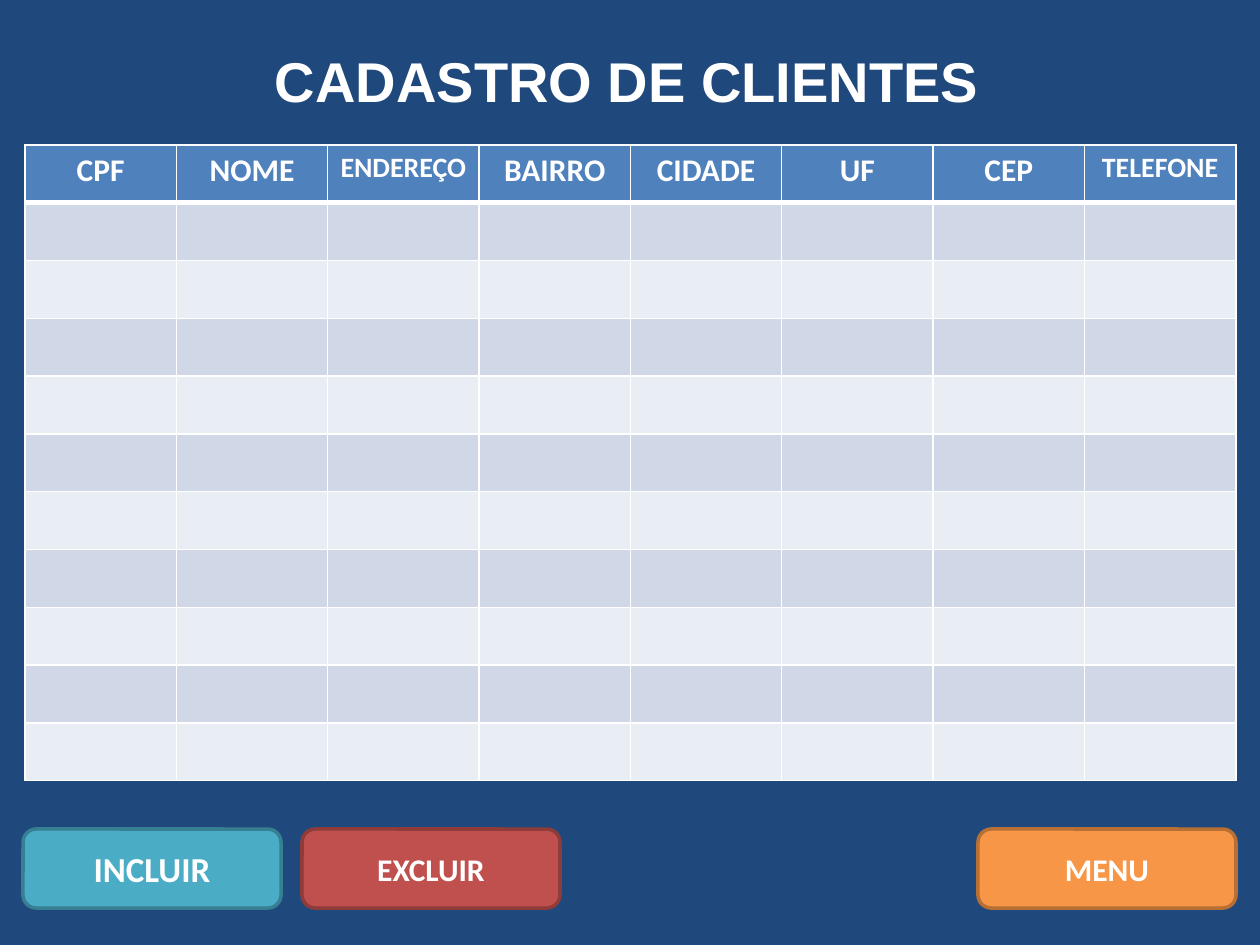
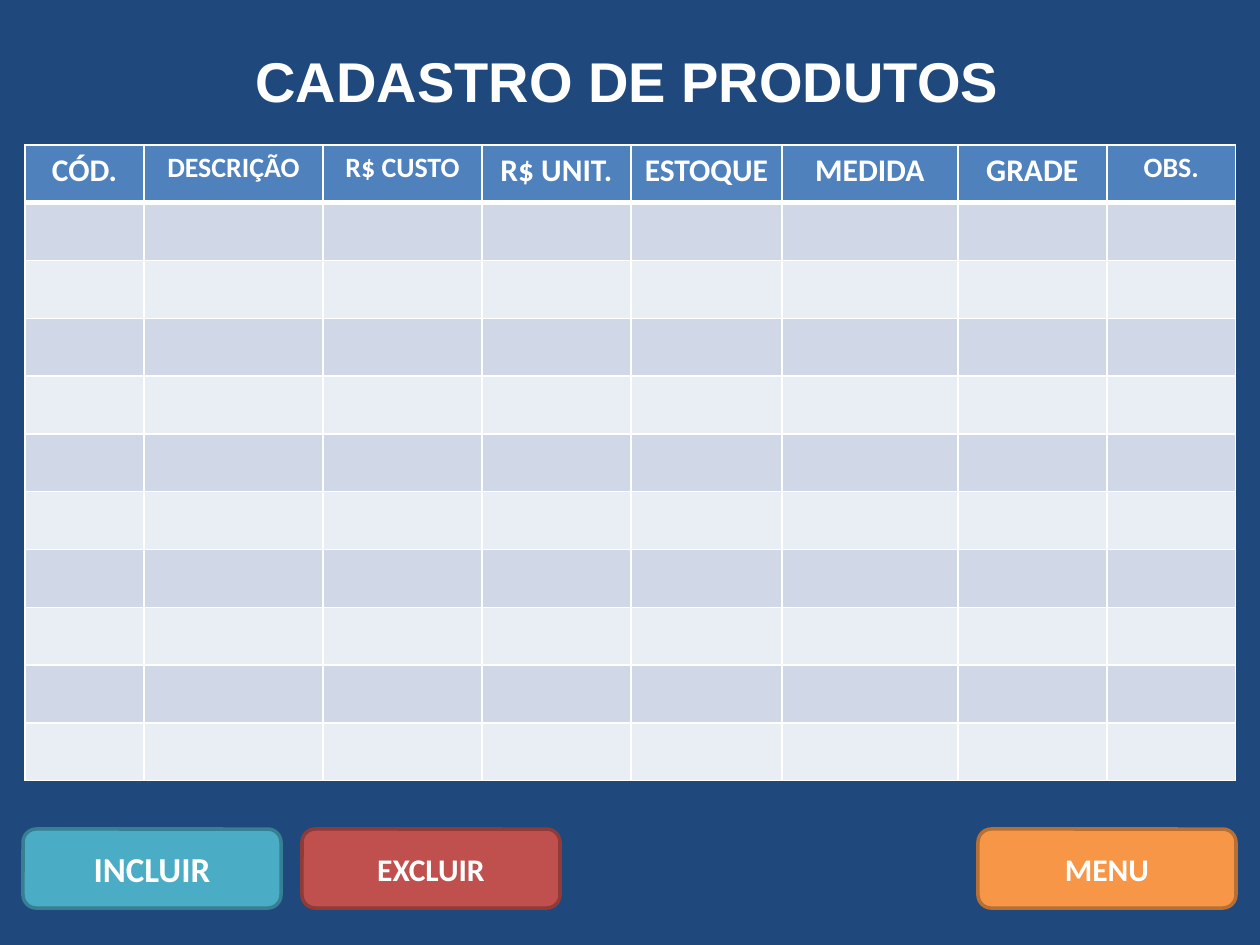
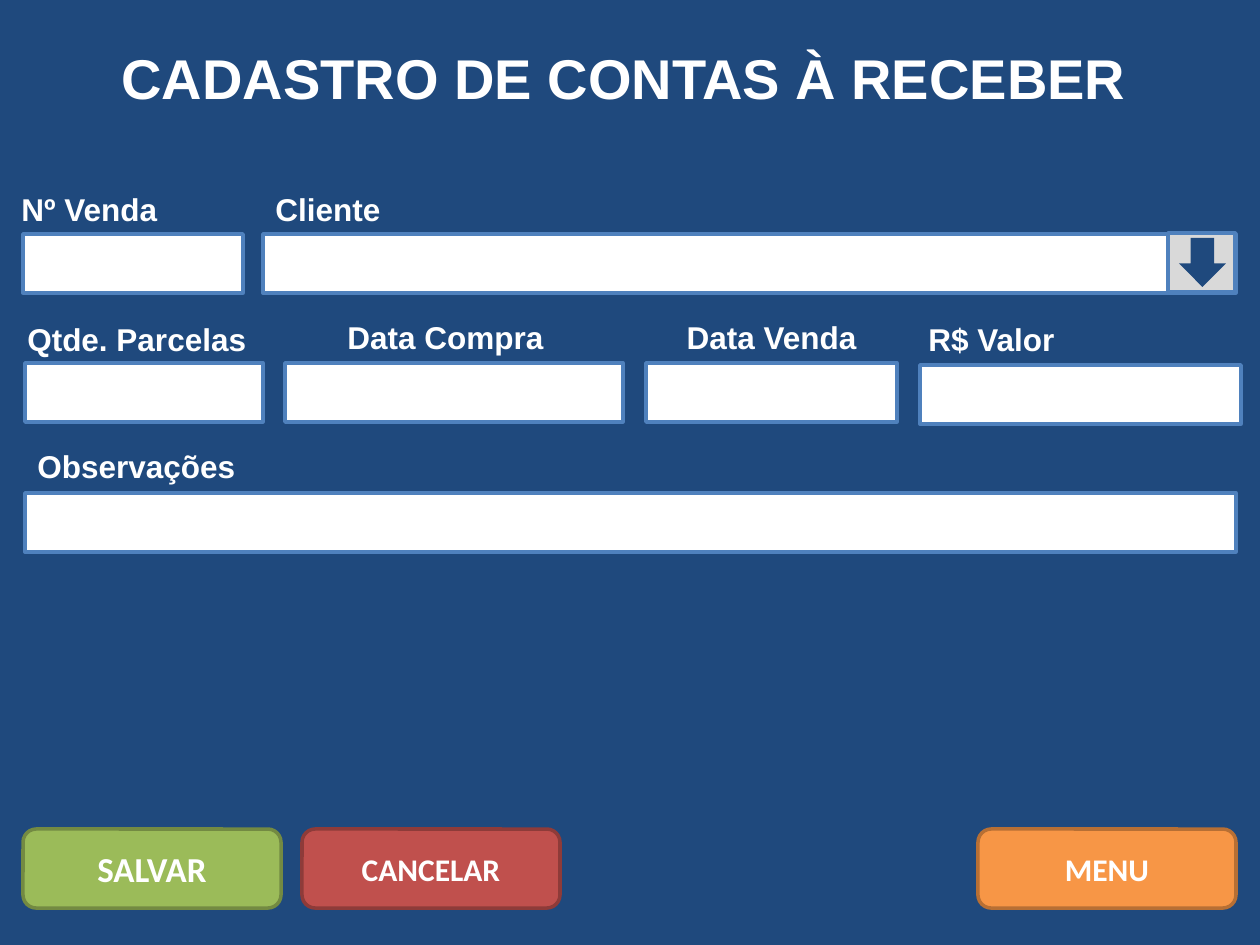
"""Build three screens of a sales register: clients, products and accounts receivable."""
from itertools import product

from pptx import Presentation
from pptx.dml.color import RGBColor
from pptx.enum.shapes import MSO_SHAPE as Kind
from pptx.enum.text import MSO_ANCHOR as Anchor, MSO_AUTO_SIZE as Auto, PP_ALIGN as Align
from pptx.oxml import parse_xml
from pptx.oxml.ns import nsdecls
from pptx.util import Emu, Pt

HUE = {
    "navy": "1F497D", "white": "FFFFFF", "blue": "4F81BD", "dark": "D0D8E8", "light": "E9EDF4",
    "gray": "D9D9D9", "teal": "4BACC6", "teal rim": "377F92", "red": "C0504D", "red rim": "8E3B39",
    "gold": "F79646", "gold rim": "B76F34", "green": "9BBB59", "green rim": "738A42",
}
WIDE, HIGH = 1260, 945
GRID = (25, 145, 1211, 636)
ROWS = 11
BTN_X = (23, 302, 978)
BTN_Y, BTN_W, BTN_H = 829, 258, 79
TITLE_H, LABEL_H, BOX_H = 81, 50, 59

HEAD = {"size": Pt(32), "name": "Arial", "bold": True}
LABEL = {"size": Pt(18), "name": "Arial", "bold": True}
CELL = {"size": Pt(18), "name": "Calibri", "bold": True}

MENU = ("MENU", "gold", 18)
EDIT = [("INCLUIR", "teal", 20), ("EXCLUIR", "red", 18), MENU]
SAVE = [("SALVAR", "green", 20), ("CANCELAR", "red", 18), MENU]

CLIENTS = [("CPF", 18), ("NOME", 18), ("ENDEREÇO", 16), ("BAIRRO", 18),
           ("CIDADE", 18), ("UF", 18), ("CEP", 18), ("TELEFONE", 16)]
GOODS = [("CÓD.", 18), ("DESCRIÇÃO", 16), ("R$ CUSTO", 16), ("R$ UNIT.", 18),
         ("ESTOQUE", 18), ("MEDIDA", 18), ("GRADE", 18), ("OBS.", 16)]
GOODS_W = [119, 179, 159, 149, 151, 176, 149, 129]

FIELDS = [
    ("Cliente", (263, 184, 357), (263, 234, 973), Align.LEFT),
    ("Qtde. Parcelas", (15, 314, 277), (25, 363, 238), Align.LEFT),
    ("Observações", (25, 441, 277), (25, 493, 1211), Align.LEFT),
    ("Data Venda", (646, 312, 251), (646, 363, 251), Align.CENTER),
    ("Nº Venda", (9, 184, 234), (23, 234, 220), Align.LEFT),
    ("Data Compra", (273, 312, 345), (285, 363, 338), Align.CENTER),
    ("R$ Valor", (916, 314, 207), (920, 365, 321), Align.LEFT),
]
PICKER = (1168, 233, 67, BOX_H)
ARROW = (1179, 238, 47, 49)

SCREENS = [
    {"title": ("CADASTRO DE CLIENTES", 40, 735), "heads": CLIENTS,
     "widths": [GRID[2] / len(CLIENTS)] * len(CLIENTS), "buttons": EDIT},
    {"title": ("CADASTRO DE PRODUTOS", 40, 774), "heads": GOODS,
     "widths": GOODS_W, "buttons": EDIT},
    {"title": ("CADASTRO DE CONTAS À RECEBER", 37, 1042), "fields": FIELDS, "buttons": SAVE},
]


def px(n):
    return Emu(round(n * 914400 / 126))


def rgb(name):
    return RGBColor.from_string(HUE[name])


def paint(fill, name):
    fill.solid()
    fill.fore_color.rgb = rgb(name)


def write(frame, text, style, align):
    para = frame.paragraphs[0]
    para.alignment = align
    run = para.add_run()
    run.text = text
    for key, value in style.items():
        setattr(run.font, key, value)
    run.font.color.rgb = rgb("white")


def add_text(slide, text, area, style, align=Align.LEFT, anchor=Anchor.TOP):
    frame = slide.shapes.add_textbox(*map(px, area)).text_frame
    for key, value in {"word_wrap": True, "auto_size": Auto.SHAPE_TO_FIT_TEXT,
                       "vertical_anchor": anchor}.items():
        setattr(frame, key, value)
    write(frame, text, style, align)


def add_box(slide, kind, area, fill, rim=None):
    shape = slide.shapes.add_shape(kind, *map(px, area))
    shape.shadow.inherit = False
    paint(shape.fill, fill)
    if rim:
        shape.line.color.rgb = rgb(rim)
        shape.line.width = Pt(2)
    else:
        shape.line.fill.background()
    return shape


def add_rim(cell, row):
    thick = {"T": 3 if row == 1 else 1, "B": 3 if row == 0 else 1}
    for side in "LRTB":
        cell._tc.get_or_add_tcPr().append(parse_xml(
            f'<a:ln{side} {nsdecls("a")} w="{Pt(thick.get(side, 1))}"><a:solidFill>'
            f'<a:srgbClr val="{HUE["white"]}"/></a:solidFill></a:ln{side}>'))


def add_grid(slide, heads, widths):
    grid = slide.shapes.add_table(ROWS, len(heads), *map(px, GRID)).table
    for col, wide in zip(grid.columns, widths):
        col.width = px(wide)
    for row in grid.rows:
        row.height = px(GRID[3] / ROWS)
    for row, col in product(range(ROWS), range(len(heads))):
        cell = grid.cell(row, col)
        add_rim(cell, row)
        paint(cell.fill, "blue" if row == 0 else "dark" if row % 2 else "light")
    for col, (text, size) in enumerate(heads):
        write(grid.cell(0, col).text_frame, text, {**CELL, "size": Pt(size)}, Align.CENTER)


def add_form(slide, fields):
    for text, label, box, align in fields:
        add_box(slide, Kind.RECTANGLE, (*box, BOX_H), "white", "blue")
        add_text(slide, text, (*label, LABEL_H), LABEL, align)
    add_box(slide, Kind.RECTANGLE, PICKER, "gray", "blue")
    add_box(slide, Kind.DOWN_ARROW, ARROW, "navy")


def add_frame(slide, title, buttons):
    text, top, wide = title
    add_text(slide, text, ((WIDE - wide) / 2, top, wide, TITLE_H), HEAD, anchor=Anchor.MIDDLE)
    for left, (text, hue, size) in zip(BTN_X, buttons):
        area = (left, BTN_Y, BTN_W, BTN_H)
        shape = add_box(slide, Kind.ROUNDED_RECTANGLE, area, hue, f"{hue} rim")
        shape.text_frame.vertical_anchor = Anchor.MIDDLE
        write(shape.text_frame, text, {**CELL, "size": Pt(size)}, Align.CENTER)


deck = Presentation()
deck.slide_width, deck.slide_height = px(WIDE), px(HIGH)
for screen in SCREENS:
    slide = deck.slides.add_slide(deck.slide_layouts[6])
    paint(slide.background.fill, "navy")
    if "heads" in screen:
        add_grid(slide, screen["heads"], screen["widths"])
    else:
        add_form(slide, screen["fields"])
    add_frame(slide, screen["title"], screen["buttons"])
deck.save("out.pptx")
